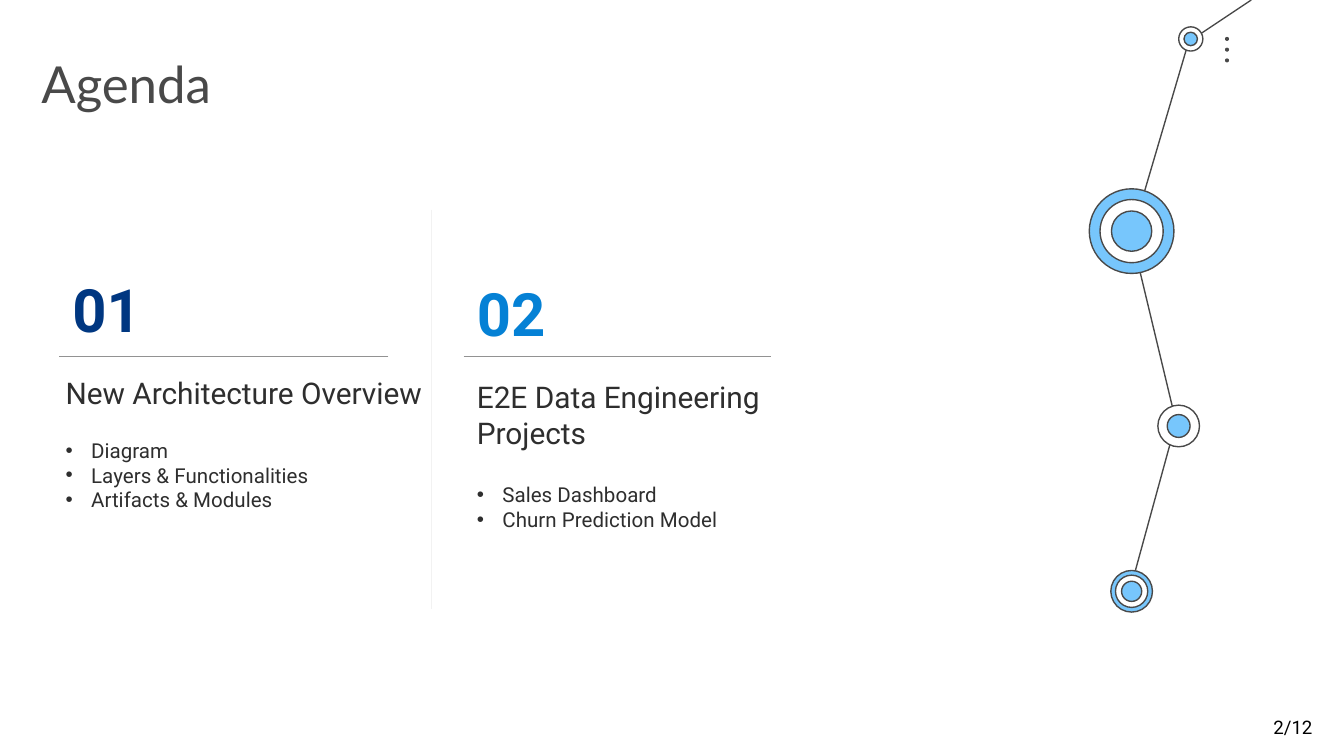
from dataclasses import dataclass

from lxml.etree import SubElement
from pptx import Presentation
from pptx.dml.color import RGBColor
from pptx.enum.shapes import MSO_CONNECTOR, MSO_SHAPE
from pptx.enum.text import MSO_ANCHOR, PP_ALIGN
from pptx.oxml.ns import qn
from pptx.shapes.autoshape import Shape
from pptx.slide import Slide
from pptx.text.text import _Paragraph as Paragraph
from pptx.util import Inches, Pt

DARK = "494949"
BLUE = "77C6FC"
WHITE = "FFFFFF"
BODY = "2E2E2E"
RULE = "929292"
DIVIDER = "F2F2F2"


@dataclass(frozen=True)
class Node:
    """Concentric circles, listed as (diameter, fill) from outside in."""
    x: float
    y: float
    rings: tuple[tuple[float, str], ...]


@dataclass(frozen=True)
class Line:
    """A straight line between two points."""
    x1: float
    y1: float
    x2: float
    y2: float
    color: str = DARK
    width: float = 0.75


@dataclass(frozen=True)
class Section:
    """One numbered agenda column."""
    number: str
    color: str
    number_box: tuple[float, float, float, float]
    body_box: tuple[float, float, float, float]
    top_inset: float
    gap: float
    heading: str
    items: tuple[str, ...]


LINES = (
    Line(8.74, 3.18, 8.4, 4.42),
    Line(8.41, 1.72, 8.76, 3.18),
    Line(8.85, 0.29, 8.42, 1.75),
    Line(9.31, 0, 8.86, 0.3),
    Line(3.45, 2.65, 5.74, 2.65, RULE, 0.25),
    Line(2.89, 2.65, 0.44, 2.65, RULE, 0.25),
    Line(3.21, 1.56, 3.21, 4.53, DIVIDER, 0.25),
)
NODES = (
    Node(8.42, 1.72, ((0.63, BLUE), (0.47, WHITE), (0.3, BLUE))),
    Node(8.77, 3.17, ((0.31, WHITE), (0.17, BLUE))),
    Node(8.86, 0.29, ((0.18, WHITE), (0.1, BLUE))),
    Node(8.42, 4.4, ((0.31, BLUE), (0.24, WHITE), (0.15, BLUE))),
)
SECTIONS = (
    Section("01", "003781", (0.44, 1.98, 0.77, 0.64), (0.39, 2.54, 2.86, 1.73), 0.25, 14.5,
            "New Architecture Overview",
            ("Diagram", "Layers & Functionalities", "Artifacts & Modules")),
    Section("02", "0581D5", (3.45, 2.01, 0.77, 0.64), (3.45, 2.54, 3.07, 1.21), 0.28, 16.8,
            "E2E Data Engineering Projects",
            ("Sales Dashboard", "Churn Prediction Model")),
)


def rgb(color: str) -> RGBColor:
    """Turn a hex string into a colour."""
    return RGBColor.from_string(color)


def draw_line(slide: Slide, line: Line) -> None:
    """Draw a straight connector without a shadow."""
    connector = slide.shapes.add_connector(
        MSO_CONNECTOR.STRAIGHT,
        Inches(line.x1), Inches(line.y1), Inches(line.x2), Inches(line.y2))
    connector.line.color.rgb = rgb(line.color)
    connector.line.width = Pt(line.width)
    SubElement(connector.element.spPr, qn("a:effectLst"))


def draw_circle(slide: Slide, x: float, y: float, diameter: float, fill: str) -> Shape:
    """Draw a circle around a centre point, with a dark outline."""
    circle = slide.shapes.add_shape(
        MSO_SHAPE.OVAL, Inches(x - diameter / 2), Inches(y - diameter / 2),
        Inches(diameter), Inches(diameter))
    circle.shadow.inherit = False
    circle.fill.solid()
    circle.fill.fore_color.rgb = rgb(fill)
    circle.line.color.rgb = rgb(DARK)
    circle.line.width = Pt(0.75)
    return circle


def add_text_box(slide: Slide, box: tuple[float, float, float, float]) -> Shape:
    """Add an empty wrapping text box."""
    shape = slide.shapes.add_textbox(*(Inches(length) for length in box))
    shape.text_frame.word_wrap = True
    return shape


def write(paragraph: Paragraph, text: str, size: float, color: str,
          name: str = "Roboto", bold: bool = False) -> None:
    """Fill a paragraph with text in one font."""
    paragraph.text = text
    font = paragraph.font
    font.name = name
    font.size = Pt(size)
    font.bold = bold
    font.color.rgb = rgb(color)


def add_bullet(paragraph: Paragraph) -> None:
    """Give a paragraph a hanging round bullet."""
    properties = paragraph._p.get_or_add_pPr()
    properties.set("marL", str(Inches(0.19)))
    properties.set("indent", str(-Inches(0.19)))
    SubElement(properties, qn("a:buFont"), typeface="Arial")
    SubElement(properties, qn("a:buChar"), char="•")


def draw_section(slide: Slide, section: Section) -> None:
    """Draw the number, heading and bullets of one column."""
    number = add_text_box(slide, section.number_box)
    write(number.text_frame.paragraphs[0], section.number, 32, section.color, bold=True)
    frame = add_text_box(slide, section.body_box).text_frame
    frame.margin_top = Inches(section.top_inset)
    write(frame.paragraphs[0], section.heading, 16, BODY)
    for index, item in enumerate(section.items):
        paragraph = frame.add_paragraph()
        paragraph.space_before = Pt(0 if index else section.gap)
        add_bullet(paragraph)
        write(paragraph, item, 11, BODY)


def main() -> None:
    """Build the agenda slide and save it."""
    presentation = Presentation()
    presentation.slide_width = Inches(10)
    presentation.slide_height = presentation.slide_width * 9 // 16
    slide = presentation.slides.add_slide(presentation.slide_layouts[6])

    for line in LINES:
        draw_line(slide, line)
    for node in NODES:
        for diameter, fill in node.rings:
            draw_circle(slide, node.x, node.y, diameter, fill)
    for index in range(3):
        dot = draw_circle(slide, 9.13, 0.29 + 0.08 * index, 0.03, DARK)
        dot.line.fill.background()

    title = add_text_box(slide, (0.21, 0.33, 5.4, 0.62)).text_frame
    title.vertical_anchor = MSO_ANCHOR.BOTTOM
    title.margin_top = title.margin_bottom = Inches(0.1)
    title.paragraphs[0].line_spacing = 0.9
    write(title.paragraphs[0], "Agenda", 27.3, DARK, "Lato")

    for section in SECTIONS:
        draw_section(slide, section)

    page = add_text_box(slide, (9.3, 5.28, 0.64, 0.27)).text_frame.paragraphs[0]
    page.alignment = PP_ALIGN.CENTER
    write(page, "2/12", 10, "000000")
    presentation.save("out.pptx")


if __name__ == "__main__":
    main()
